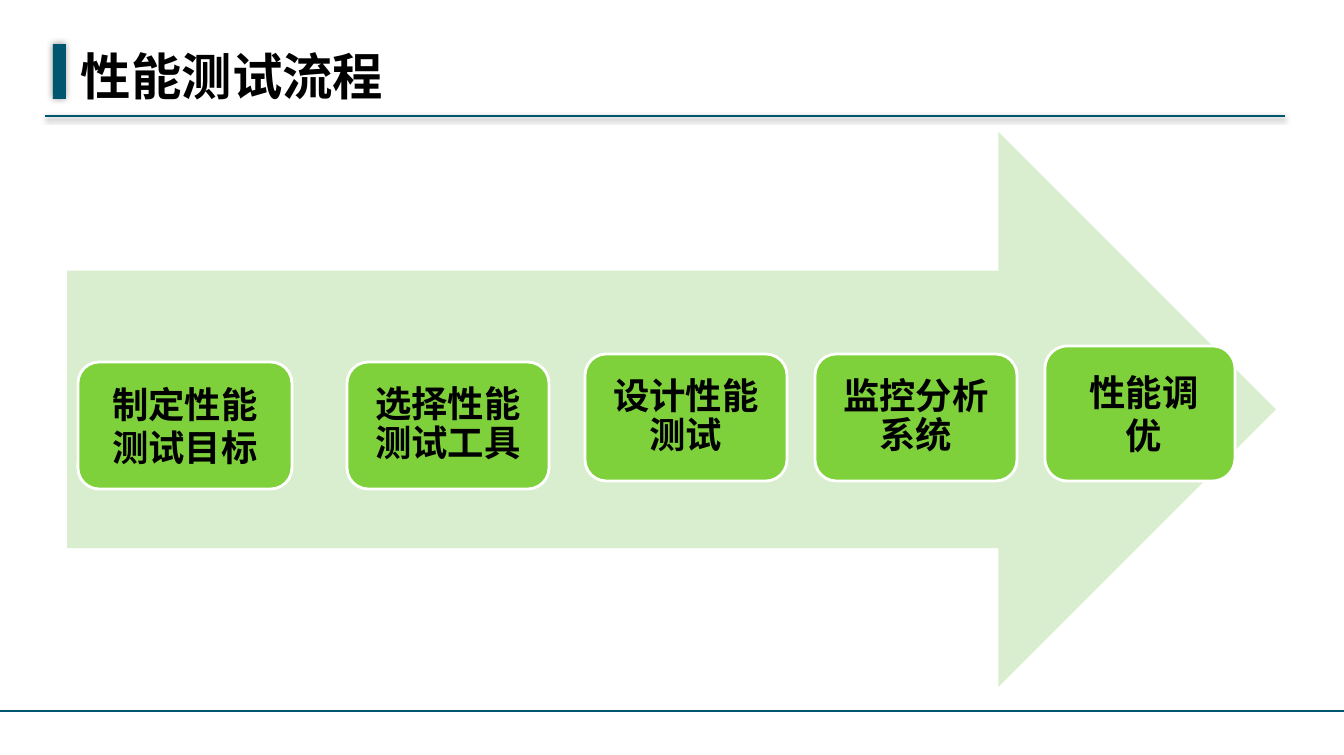
from dataclasses import dataclass

from lxml import etree
from pptx import Presentation, util as u
from pptx.dml.color import RGBColor
from pptx.enum import shapes, text
from pptx.oxml import ns

EMU_PER_PX = 914400 / 100.7
FONT = "Noto Sans CJK SC"
TEAL = RGBColor(0x00, 0x56, 0x6E)
GREEN = RGBColor(0x7F, 0xD1, 0x3B)
PALE_GREEN = RGBColor(0xD8, 0xEE, 0xCE)
WHITE = RGBColor(0xFF, 0xFF, 0xFF)
BLACK = RGBColor(0x00, 0x00, 0x00)


@dataclass(frozen=True)
class Step:
    label: str
    left: int
    top: int
    width: int = 202
    height: int = 127
    spacing: float = 0.9
    after: int = 9
    indent: int = 18


STEPS = [
    Step("制定性能测试目标", 78, 362, width=214, spacing=1, after=0),
    Step("选择性能测试工具", 347, 362),
    Step("设计性能测试", 585, 354),
    Step("监控分析系统", 815, 354),
    Step("性能调优", 1045, 346, width=190, height=135, spacing=1, after=0, indent=26),
]


def px(n: int) -> u.Emu:
    return u.Emu(round(n * EMU_PER_PX))


def set_effects(s, opacity: int = 0, blur: float = 0, distance: float = 0) -> None:
    """Give a shape or connector a downward shadow, or none at zero opacity."""
    sp_pr = s._element.spPr
    for old in sp_pr.findall(ns.qn("a:effectLst")):
        sp_pr.remove(old)
    effects = etree.SubElement(sp_pr, ns.qn("a:effectLst"))
    if opacity:
        shadow = etree.SubElement(
            effects, ns.qn("a:outerShdw"), blurRad=str(u.Pt(blur)),
            dist=str(u.Pt(distance)), dir="5400000", rotWithShape="0")
        color = etree.SubElement(shadow, ns.qn("a:srgbClr"), val=str(BLACK))
        etree.SubElement(color, ns.qn("a:alpha"), val=str(opacity * 1000))


def add_block(slide, kind, left: int, top: int, width: int, height: int,
              fill: RGBColor, line: RGBColor | None = None):
    s = slide.shapes.add_shape(kind, px(left), px(top), px(width), px(height))
    s.shadow.inherit = False
    s.fill.solid()
    s.fill.fore_color.rgb = fill
    if line is None:
        s.line.fill.background()
    else:
        s.line.color.rgb = line
        s.line.width = u.Pt(2)
    return s


def add_rule(slide, left: int, right: int, y: int):
    s = slide.shapes.add_connector(
        shapes.MSO_CONNECTOR.STRAIGHT, px(left), px(y), px(right), px(y))
    s.line.color.rgb = TEAL
    s.line.width = u.Pt(1)
    set_effects(s)
    return s


def write(tf, content: str, *, size: int, align, left: int, right: int,
          edge: int, spacing: float = 1, after: int = 0) -> None:
    tf.word_wrap = True
    tf.auto_size = text.MSO_AUTO_SIZE.NONE
    tf.vertical_anchor = text.MSO_ANCHOR.MIDDLE
    tf.margin_left, tf.margin_right = px(left), px(right)
    tf.margin_top = tf.margin_bottom = px(edge)
    p = tf.paragraphs[0]
    p.alignment = align
    p.line_spacing = spacing
    p.space_after = u.Pt(after)
    r = p.add_run()
    r.text = content
    r.font.size = u.Pt(size)
    r.font.bold = True
    r.font.color.rgb = BLACK
    r.font.name = FONT
    etree.SubElement(r.font._element, ns.qn("a:ea"), typeface=FONT)


def add_step(slide, step: Step) -> None:
    s = add_block(slide, shapes.MSO_SHAPE.ROUNDED_RECTANGLE, step.left, step.top,
                  step.width, step.height, GREEN, WHITE)
    write(s.text_frame, step.label, size=26, align=text.PP_ALIGN.CENTER,
          left=step.indent, right=18, edge=11, spacing=step.spacing, after=step.after)


prs = Presentation()
prs.slide_width, prs.slide_height = px(1344), px(755)
slide = prs.slides.add_slide(prs.slide_layouts[5])

# Heading with its rule and marker
set_effects(add_rule(slide, 45, 1285, 116), opacity=42, blur=4, distance=1.6)
marker = add_block(slide, shapes.MSO_SHAPE.RECTANGLE, 53, 44, 13, 55, TEAL)
set_effects(marker, opacity=40, blur=5)
title = slide.shapes.title
title.left, title.top, title.width, title.height = px(69), px(44), px(911), px(63)
write(title.text_frame, "性能测试流程", size=36, align=text.PP_ALIGN.LEFT,
      left=12, right=12, edge=6)

# Footer rule
add_rule(slide, 0, 1344, 711)

# Process arrow and its steps
add_block(slide, shapes.MSO_SHAPE.RIGHT_ARROW, 67, 132, 1209, 555, PALE_GREEN)
for step in STEPS:
    add_step(slide, step)

prs.save("out.pptx")
